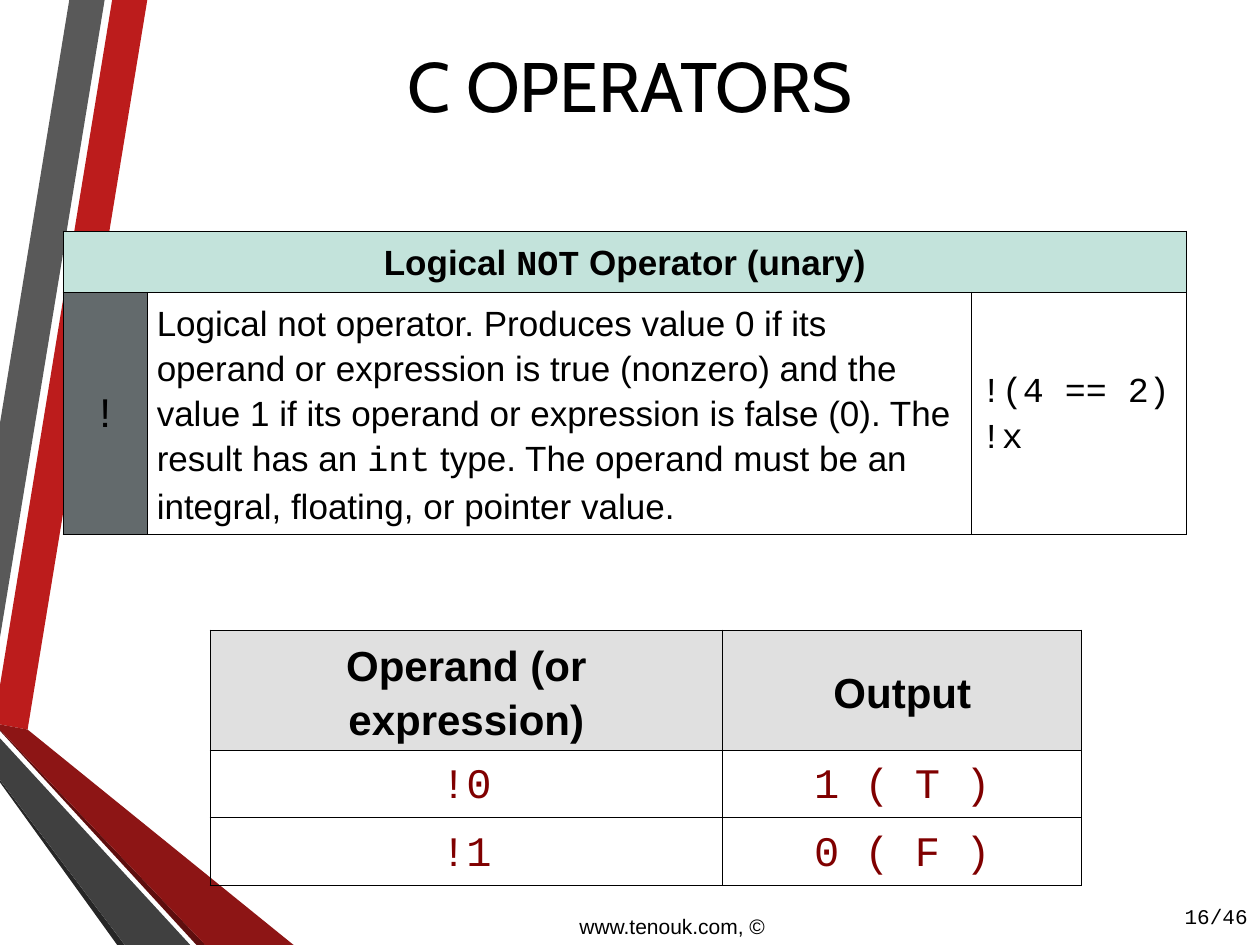
from lxml.etree import SubElement
from pptx import Presentation
from pptx.dml.color import RGBColor
from pptx.enum.text import MSO_ANCHOR, PP_ALIGN
from pptx.oxml.ns import qn
from pptx.util import Pt

COLOURS = {
    "black": "000000", "red": "BC1C1C", "grey": "595959", "coal": "262626",
    "maroon": "5E0E0E", "dark red": "8D1515", "charcoal": "404040",
    "mint": "C3E3DB", "slate": "636A6C", "silver": "E0E0E0", "result": "800000",
}
SANS, MONO, HEADING = "Arial", "Courier New", "Cabin"


def rgb(name):
    return RGBColor.from_string(COLOURS[name])


class SlideBuilder:
    def __init__(self, slide):
        self.slide = slide

    def band(self, colour, points):
        corners = [(Pt(x), Pt(y)) for x, y in points]
        builder = self.slide.shapes.build_freeform(*corners[0])
        builder.add_line_segments(corners[1:], close=True)
        shape = builder.convert_to_shape()
        shape.shadow.inherit = False
        shape.fill.solid()
        shape.fill.fore_color.rgb = rgb(colour)
        shape.line.fill.background()

    def fill_text(self, frame, paragraphs, size, font=SANS, colour="black", bold=False,
                  align=PP_ALIGN.LEFT, line_spacing=None, space_after=None):
        """Each paragraph is a string, or a list of (text, font) runs."""
        for index, content in enumerate(paragraphs):
            paragraph = frame.add_paragraph() if index else frame.paragraphs[0]
            paragraph.alignment = align
            paragraph.line_spacing = line_spacing
            paragraph.space_after = space_after
            paragraph.font.size = Pt(size)
            paragraph.font.bold = bold
            paragraph.font.color.rgb = rgb(colour)
            if isinstance(content, str):
                paragraph.font.name = font
                paragraph.add_run().text = content
                continue
            for text, run_font in content:
                run = paragraph.add_run()
                run.text = text
                run.font.name = run_font

    def text(self, left, top, width, height, content, size,
             anchor=MSO_ANCHOR.MIDDLE, **style):
        box = self.slide.shapes.add_textbox(Pt(left), Pt(top), Pt(width), Pt(height))
        frame = box.text_frame
        frame.word_wrap = True
        frame.vertical_anchor = anchor
        self.fill_text(frame, [content], size, **style)

    def table(self, left, top, columns, rows):
        frame = self.slide.shapes.add_table(
            len(rows), len(columns), Pt(left), Pt(top),
            Pt(sum(columns)), Pt(sum(rows)))
        table = frame.table
        table.first_row = table.horz_banding = False
        for column, width in zip(table.columns, columns):
            column.width = Pt(width)
        for row, height in zip(table.rows, rows):
            row.height = Pt(height)
        for cell in table.iter_cells():
            self.borders(cell)
            cell.fill.background()
        return table

    def borders(self, cell):
        properties = cell._tc.get_or_add_tcPr()
        for side in ("a:lnL", "a:lnR", "a:lnT", "a:lnB"):
            line = SubElement(properties, qn(side), w=str(Pt(0.45)))
            fill = SubElement(line, qn("a:solidFill"))
            SubElement(fill, qn("a:srgbClr"), val=COLOURS["black"])

    def cell(self, cell, paragraphs, size, fill=None, margin=7.2,
             anchor=MSO_ANCHOR.MIDDLE, **style):
        cell.margin_left = cell.margin_right = Pt(margin)
        cell.vertical_anchor = anchor
        if fill:
            cell.fill.solid()
            cell.fill.fore_color.rgb = rgb(fill)
        self.fill_text(cell.text_frame, paragraphs, size, line_spacing=1.15, **style)


def main():
    presentation = Presentation()
    presentation.slide_width, presentation.slide_height = Pt(720), Pt(540)
    builder = SlideBuilder(presentation.slides.add_slide(presentation.slide_layouts[6]))

    # Folded ribbons on the left edge
    builder.band("red", [(0, 391.7), (0, 414), (15.8, 416.9), (84.2, 0), (64.1, 0)])
    builder.band("grey", [(59.8, 0), (39.6, 0), (0, 241.9), (0, 364.3)])
    builder.band("coal", [(0, 445.7), (0, 447.1), (67, 540), (71.3, 540)])
    builder.band("maroon", [(0, 416.9), (0, 417.6), (112.3, 540), (117.4, 540)])
    builder.band("dark red", [(0, 416.9), (117.4, 540), (167.8, 540),
                              (15.8, 416.9), (0, 414)])
    builder.band("charcoal", [(0, 445.7), (71.3, 540), (108.7, 540), (0, 421.9)])

    # Operator description
    operator = builder.table(36, 132, [48.2, 470.9, 123.1], [27.4, 138.2])
    operator.cell(0, 0).merge(operator.cell(0, 2))
    builder.cell(
        operator.cell(0, 0),
        [[("Logical ", SANS), ("NOT", MONO), (" Operator (unary)", SANS)]],
        20, fill="mint", margin=5.4, anchor=MSO_ANCHOR.TOP, bold=True,
        align=PP_ALIGN.CENTER)
    builder.cell(operator.cell(1, 0), ["!"], 24, fill="slate", margin=5.4,
                 font=MONO, align=PP_ALIGN.CENTER)
    builder.cell(
        operator.cell(1, 1),
        [[("Logical not operator. Produces value 0 if its operand or expression is "
           "true (nonzero) and the value 1 if its operand or expression is false (0). "
           "The result has an ", SANS),
          ("int", MONO),
          (" type. The operand must be an integral, floating, or pointer value.", SANS)]],
        20, margin=5.4)
    builder.cell(operator.cell(1, 2), ["!(4 == 2)", "!x"], 20, margin=5.4, font=MONO)

    # Truth table
    truth_rows = [("Operand (or expression)", "Output"), ("!0", "1 ( T )"), ("!1", "0 ( F )")]
    truth = builder.table(120, 360, [293, 205.2], [33.1] * len(truth_rows))
    header_style = {"fill": "silver", "bold": True}
    result_style = {"font": MONO, "colour": "result"}
    for row, values in enumerate(truth_rows):
        style = result_style if row else header_style
        for column, value in enumerate(values):
            builder.cell(truth.cell(row, column), [value], 24,
                         align=PP_ALIGN.CENTER, space_after=Pt(10), **style)

    # Title, page number and footer
    builder.text(36, 18, 648, 60.5, "C OPERATORS", 40, font=HEADING,
                 align=PP_ALIGN.CENTER)
    builder.text(660, 509, 60, 28.8, "16/46", 12, font=MONO, align=PP_ALIGN.RIGHT)
    builder.text(324, 518.4, 126, 21.6, "www.tenouk.com, ©", 12, anchor=MSO_ANCHOR.TOP)

    presentation.save("out.pptx")


if __name__ == "__main__":
    main()
